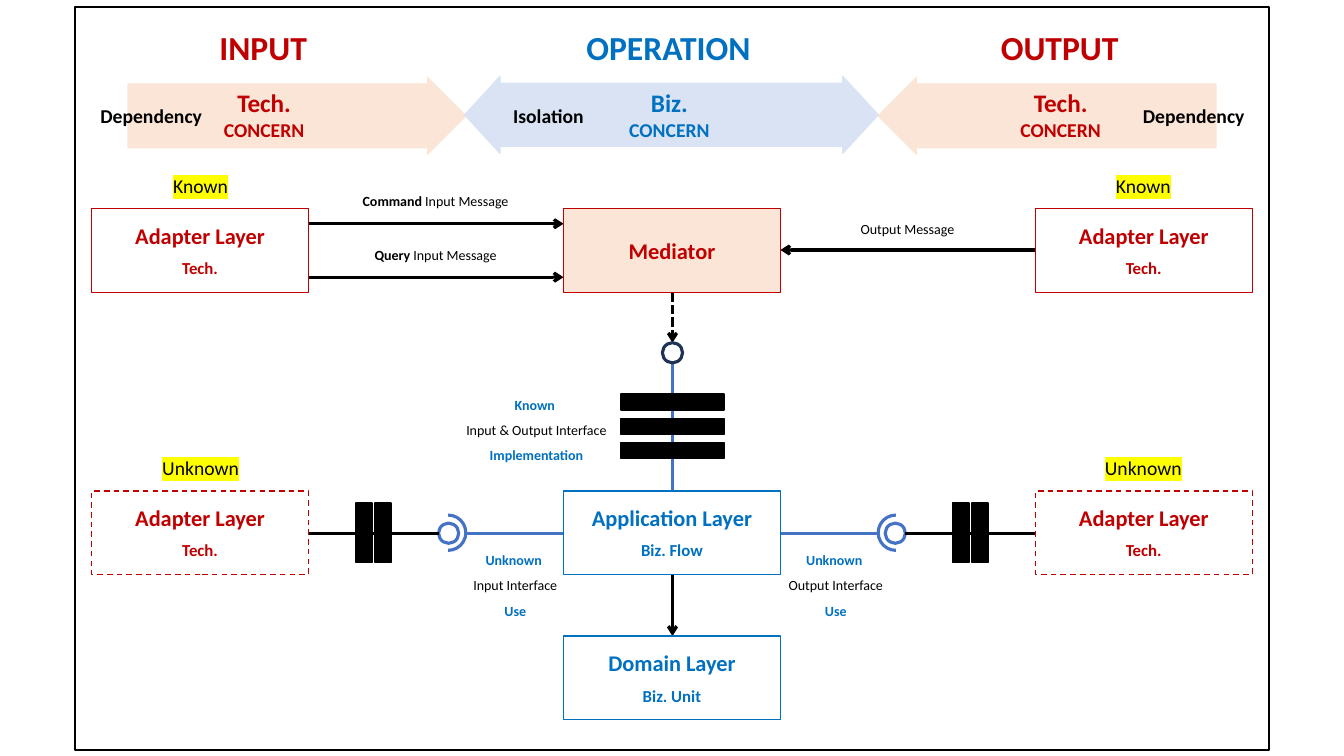
from dataclasses import dataclass
from typing import Optional

from lxml import etree
from pptx import Presentation
from pptx import util as u
from pptx.dml.color import RGBColor
from pptx.enum import dml, shapes, text
from pptx.oxml.ns import qn

COLORS = {"black": "000000", "white": "FFFFFF", "red": "C00000", "blue": "0070C0",
          "link": "4472C4", "navy": "1E3256", "peach": "FBE5D6", "sky": "DAE3F3",
          "yellow": "FFFF00"}
FONT = "Calibri"
SLIDE_W, SLIDE_H = 13.33, 7.5
LAYER_W, LAYER_H = 2.15, 0.83
LEFT_X, MID_X, RIGHT_X = 0.91, 5.59, 10.27
CENTER_X = 6.67
TOP_Y, LOW_Y, DOMAIN_Y = 2.07, 4.87, 6.31
LINK_Y = 5.29
PRESET = shapes.MSO_SHAPE


@dataclass
class Line:
    text: str
    size: int
    color: str
    bold: bool = True
    lead: str = ""  # bold words ahead of the text


@dataclass
class Label:
    center: float
    top: float
    width: float
    lines: list[Line]
    spacing: float = 1.0
    highlight: Optional[str] = None


@dataclass
class Layer:
    left: float
    top: float
    name: str
    name_width: float
    note: str
    note_width: float
    color: str
    fill: Optional[str] = "white"
    dashed: bool = False


@dataclass
class Link:
    start: tuple[float, float]
    end: tuple[float, float]
    color: str = "black"
    arrow: bool = False
    dashed: bool = False


def rgb(name: str) -> RGBColor:
    return RGBColor.from_string(COLORS[name])


def mirror(left: float, width: float = 0) -> float:
    return SLIDE_W - left - width


def draw_shape(slide, preset, left: float, top: float, width: float, height: float,
               fill: Optional[str], line: str, weight: float = 1):
    shape = slide.shapes.add_shape(preset, *map(u.Inches, (left, top, width, height)))
    shape.shadow.inherit = False
    if fill:
        shape.fill.solid()
        shape.fill.fore_color.rgb = rgb(fill)
    else:
        shape.fill.background()
    shape.line.color.rgb = rgb(line)
    shape.line.width = u.Pt(weight)
    return shape


def draw_label(slide, label: Label) -> None:
    height = 0.1 + sum(line.size * 1.22 * label.spacing / 72 for line in label.lines)
    box = slide.shapes.add_textbox(*map(u.Inches, (
        label.center - label.width / 2, label.top, label.width, height)))
    frame = box.text_frame
    frame.word_wrap = False
    frame.auto_size = text.MSO_AUTO_SIZE.SHAPE_TO_FIT_TEXT
    for index, line in enumerate(label.lines):
        paragraph = frame.add_paragraph() if index else frame.paragraphs[0]
        paragraph.alignment = text.PP_ALIGN.CENTER
        paragraph.line_spacing = label.spacing
        font = paragraph.font
        font.name, font.size, font.bold = FONT, u.Pt(line.size), line.bold
        font.color.rgb = rgb(line.color)
        if line.lead:
            lead = paragraph.add_run()
            lead.text, lead.font.bold = line.lead, True
        run = paragraph.add_run()
        run.text = line.text
        if label.highlight:
            mark = etree.SubElement(run.font._element, qn("a:highlight"))
            etree.SubElement(mark, qn("a:srgbClr"), val=COLORS[label.highlight])


def draw_layer(slide, layer: Layer) -> None:
    box = draw_shape(slide, PRESET.RECTANGLE, layer.left, layer.top, LAYER_W, LAYER_H,
                     layer.fill, layer.color)
    if layer.dashed:
        box.line.dash_style = dml.MSO_LINE.DASH
    center = layer.left + LAYER_W / 2
    name_top = layer.top + (0.08 if layer.note else 0.23)
    draw_label(slide, Label(center, name_top, layer.name_width,
                            [Line(layer.name, 16, layer.color)]))
    if layer.note:
        draw_label(slide, Label(center, layer.top + 0.44, layer.note_width,
                                [Line(layer.note, 12, layer.color)]))


def draw_link(slide, link: Link) -> None:
    connector = slide.shapes.add_connector(
        shapes.MSO_CONNECTOR.STRAIGHT, *map(u.Inches, link.start + link.end))
    connector.line.color.rgb = rgb(link.color)
    connector.line.width = u.Pt(2.25)
    if link.dashed:
        connector.line.dash_style = dml.MSO_LINE.SQUARE_DOT
    if link.arrow:
        etree.SubElement(connector.line._get_or_add_ln(), qn("a:tailEnd"), type="arrow")
    etree.SubElement(connector._element.spPr, qn("a:effectLst"))


def draw_socket(slide, right_side: bool) -> None:
    """Half ring around a small circle, with two barrier bars on its line."""
    def place(left: float, width: float) -> float:
        return mirror(left, width) if right_side else left

    draw_shape(slide, PRESET.OVAL, place(4.27, 0.35), 5.11, 0.35, 0.35, None, "link", 2.25)
    draw_shape(slide, PRESET.RECTANGLE, place(4.04, 0.4), 4.97, 0.4, 0.63, "white", "white")
    draw_shape(slide, PRESET.OVAL, place(4.35, 0.2), 5.19, 0.2, 0.2, None, "link", 2.25)
    draw_link(slide, Link((place(3.06, 0), LINK_Y), (place(4.35, 0), LINK_Y)))
    draw_link(slide, Link((place(4.62, 0), LINK_Y), (place(MID_X, 0), LINK_Y), "link"))
    for bar_left in (3.53, 3.72):
        draw_shape(slide, PRESET.RECTANGLE, place(bar_left, 0.16), 4.99, 0.16, 0.59,
                   "black", "black")


def interface_label(center: float, top: float, width: float, state: str, name: str,
                    role: str) -> Label:
    return Label(center, top, width, [Line(state, 10, "blue"), Line(name, 10, "black", False),
                                      Line(role, 10, "blue")], 1.5)


LAYERS = [
    *(Layer(left, top, "Adapter Layer", 1.51, "Tech.", 0.56, "red", fill, dashed)
      for left in (LEFT_X, RIGHT_X)
      for top, fill, dashed in ((TOP_Y, None, False), (LOW_Y, "white", True))),
    Layer(MID_X, TOP_Y, "Mediator", 1.07, "", 0, "red", "peach"),
    Layer(MID_X, LOW_Y, "Application Layer", 1.82, "Biz. Flow", 0.85, "blue"),
    Layer(MID_X, DOMAIN_Y, "Domain Layer", 1.48, "Biz. Unit", 0.8, "blue"),
]
LINKS = [
    Link((3.06, 2.22), (MID_X, 2.22), arrow=True),
    Link((3.06, 2.75), (MID_X, 2.75), arrow=True),
    Link((RIGHT_X, 2.48), (7.74, 2.48), arrow=True),
    Link((CENTER_X, 2.9), (CENTER_X, 3.4), arrow=True, dashed=True),
    Link((CENTER_X, LOW_Y), (CENTER_X, 3.59), "link"),
    Link((CENTER_X, 5.7), (CENTER_X, DOMAIN_Y), arrow=True),
]
LABELS = [
    # Column headings and concerns
    *(Label(center, 0.22, width, [Line(heading, 24, color)])
      for center, width, heading, color in ((2.61, 1.08, "INPUT", "red"),
                                            (6.63, 1.84, "OPERATION", "blue"),
                                            (10.51, 1.38, "OUTPUT", "red"))),
    *(Label(center, 0.82, 1.01, [Line(concern, 18, color), Line("CONCERN", 14, color)])
      for center, concern, color in ((2.62, "Tech.", "red"), (6.64, "Biz.", "blue"),
                                     (10.52, "Tech.", "red"))),
    *(Label(center, 0.98, width, [Line(trait, 14, "black")])
      for center, width, trait in ((1.5, 1.22, "Dependency"), (5.44, 0.91, "Isolation"),
                                   (11.84, 1.22, "Dependency"))),
    # States of the adapters
    *(Label(center, top, width, [Line(state, 14, "black", False)], highlight="yellow")
      for center in (1.99, 11.34)
      for top, width, state in ((1.68, 0.75, "Known"), (4.47, 0.97, "Unknown"))),
    # Messages
    Label(4.32, 1.86, 1.67, [Line(" Input Message", 10, "black", False, "Command")]),
    Label(4.32, 2.4, 1.43, [Line("Input Message", 10, "black", False, "Query ")]),
    Label(9, 2.14, 1.14, [Line("Output Message", 10, "black", False)]),
    # Interfaces
    interface_label(5.32, 3.8, 1.62, "Known ", "Input & Output Interface", "Implementation"),
    interface_label(5.11, 5.34, 1.05, "Unknown ", "Input Interface", "Use"),
    interface_label(8.29, 5.34, 1.16, "Unknown ", "Output Interface", "Use"),
]


def main() -> None:
    deck = Presentation()
    deck.slide_width, deck.slide_height = u.Inches(SLIDE_W), u.Inches(SLIDE_H)
    slide = deck.slides.add_slide(deck.slide_layouts[6])

    # Frame and concern arrows
    draw_shape(slide, PRESET.RECTANGLE, 0.74, 0.07, 11.85, 7.37, None, "black", 1.5)
    for preset, left, top, width, color, turn, ratios in (
            (PRESET.RIGHT_ARROW, 1.27, 0.77, 3.35, "peach", 0, (0.83, 0.5)),
            (PRESET.RIGHT_ARROW, 8.71, 0.77, 3.35, "peach", 180, (0.83, 0.5)),
            (PRESET.LEFT_RIGHT_ARROW, 4.61, 0.76, 4.1, "sky", 0, (0.82, 0.46))):
        arrow = draw_shape(slide, preset, left, top, width, 0.76, color, color)
        arrow.rotation = turn
        arrow.adjustments[0], arrow.adjustments[1] = ratios

    # Links, sockets and layers
    for right_side in (False, True):
        draw_socket(slide, right_side)
    for link in LINKS:
        draw_link(slide, link)
    for layer in LAYERS:
        draw_layer(slide, layer)

    # Mediator interface with its barrier
    draw_shape(slide, PRESET.OVAL, 6.57, 3.4, 0.2, 0.2, "white", "navy", 2.25)
    for row in range(3):
        draw_shape(slide, PRESET.RECTANGLE, 6.16, 3.91 + 0.24 * row, 1.02, 0.16,
                   "black", "black")

    for label in LABELS:
        draw_label(slide, label)
    deck.save("out.pptx")


if __name__ == "__main__":
    main()
